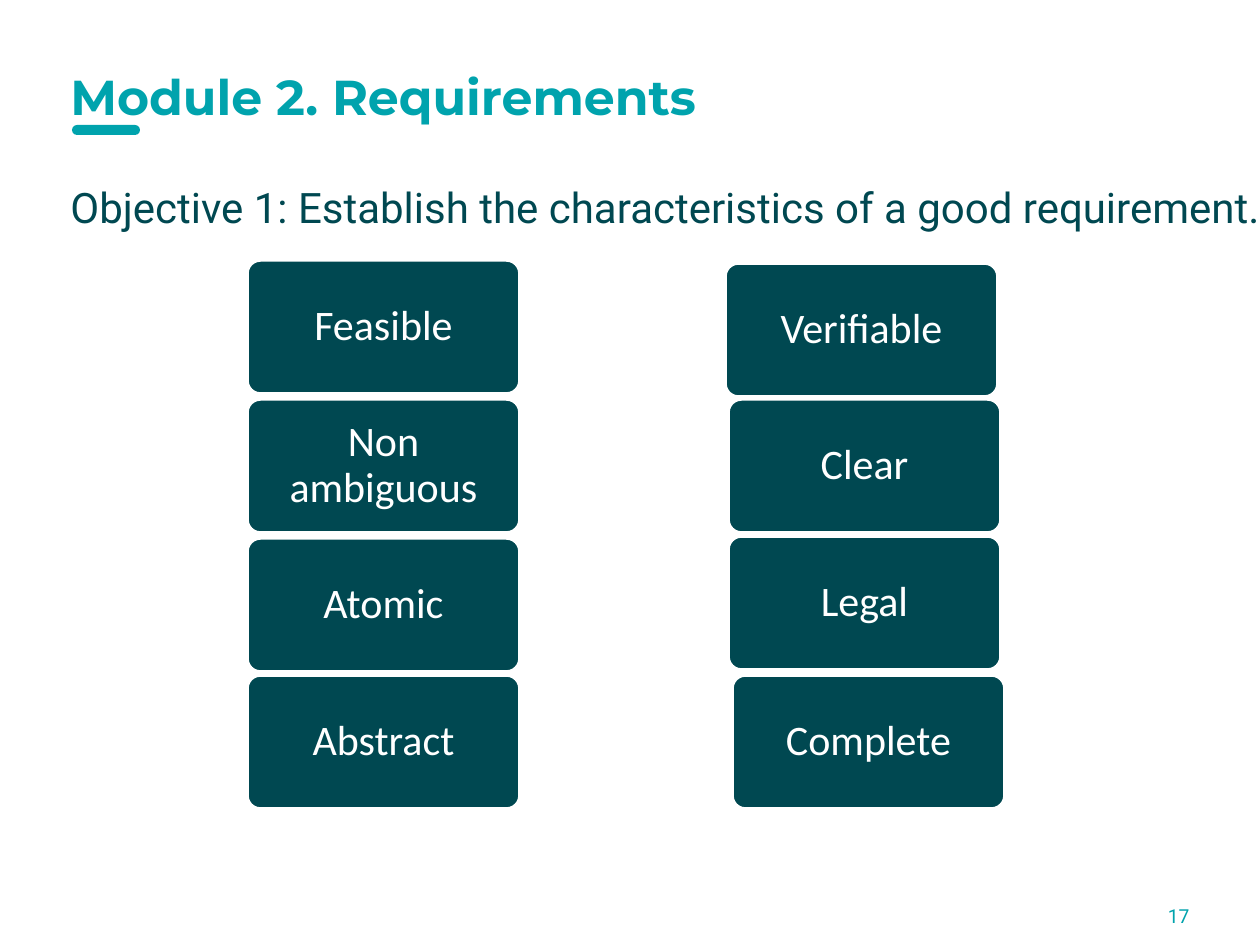
from pptx import Presentation
from pptx.dml.color import RGBColor
from pptx.enum.shapes import MSO_SHAPE
from pptx.enum.text import MSO_ANCHOR, PP_ALIGN
from pptx.util import Emu, Pt

EMU_PER_PX = 914400 / 126
TEAL, DARK_TEAL, WHITE = "00A3AD", "004851", "FFFFFF"


def px(length):
    return Emu(round(length * EMU_PER_PX))


def color(hex_string):
    return RGBColor.from_string(hex_string)


class SlideBuilder:
    """Holds the current slide and the style of its elements."""

    heading_font, body_font, card_font = "Montserrat", "Roboto", "Calibri"
    card_width, card_height = 273, 134

    def __init__(self, slide):
        self.slide = slide

    def fill_frame(self, frame, text, font, size, hex_color, align, anchor, bold=False):
        """Put one styled run into a text frame and return its paragraph."""
        frame.word_wrap = True
        frame.vertical_anchor = anchor
        paragraph = frame.paragraphs[0]
        paragraph.alignment = align
        run = paragraph.add_run()
        run.text = text
        run.font.name = font
        run.font.size = Pt(size)
        run.font.bold = bold
        run.font.color.rgb = color(hex_color)
        return paragraph

    def text(self, left, top, width, height, text, font, size, hex_color,
             align=PP_ALIGN.LEFT, anchor=MSO_ANCHOR.MIDDLE, bold=False):
        box = self.slide.shapes.add_textbox(px(left), px(top), px(width), px(height))
        self.fill_frame(box.text_frame, text, font, size, hex_color, align, anchor, bold)

    def rounded(self, left, top, width, height, fill, roundness):
        shape = self.slide.shapes.add_shape(
            MSO_SHAPE.ROUNDED_RECTANGLE, px(left), px(top), px(width), px(height))
        shape.adjustments[0] = roundness
        shape.shadow.inherit = False
        shape.fill.solid()
        shape.fill.fore_color.rgb = color(fill)
        shape.line.fill.background()
        return shape

    def card(self, left, top, label):
        shape = self.rounded(left, top, self.card_width, self.card_height, DARK_TEAL, 0.1)
        shape.line.color.rgb = color(WHITE)
        shape.line.width = Pt(2)
        frame = shape.text_frame
        frame.margin_left = frame.margin_right = px(1)
        frame.margin_top = frame.margin_bottom = px(1)
        paragraph = self.fill_frame(frame, label, self.card_font, 24, WHITE,
                                    PP_ALIGN.CENTER, MSO_ANCHOR.MIDDLE)
        paragraph.line_spacing = 0.9


def main():
    presentation = Presentation()
    presentation.slide_width, presentation.slide_height = px(1260), px(945)
    builder = SlideBuilder(presentation.slides.add_slide(presentation.slide_layouts[6]))

    builder.rounded(72, 125, 68, 10, TEAL, 0.5)
    builder.text(58, 66, 1056, 59, "Module 2. Requirements",
                 builder.heading_font, 28, TEAL, bold=True)
    builder.text(58, 175, 1216, 663,
                 "Objective 1: Establish the characteristics of a good requirement.",
                 builder.body_font, 24, DARK_TEAL, anchor=MSO_ANCHOR.TOP)

    characteristics = [
        (247, 260, "Feasible"), (725, 263, "Verifiable"),
        (247, 399, "Non ambiguous"), (728, 399, "Clear"),
        (247, 538, "Atomic"), (728, 536, "Legal"),
        (247, 675, "Abstract"), (732, 675, "Complete"),
    ]
    for left, top, label in characteristics:
        builder.card(left, top, label)

    builder.text(1048, 891, 154, 50, "17", builder.body_font, 11, TEAL,
                 align=PP_ALIGN.RIGHT)
    presentation.save("out.pptx")


if __name__ == "__main__":
    main()
